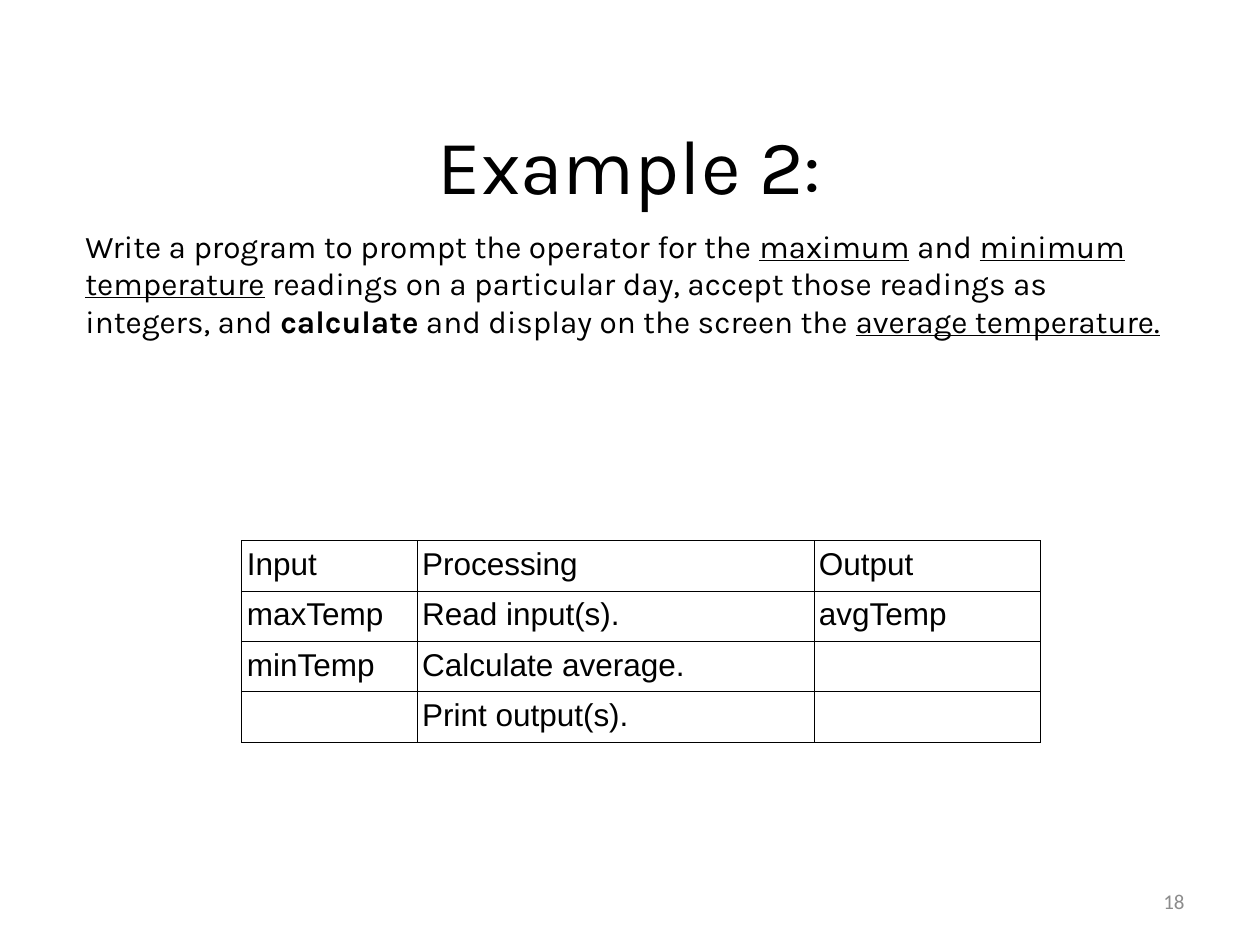
import pptx
import pptx.dml.color
import pptx.enum.text
import pptx.oxml
import pptx.oxml.ns
import pptx.util
from pptx.util import Inches

ANCHOR = pptx.enum.text.MSO_ANCHOR
ALIGN = pptx.enum.text.PP_ALIGN
BLACK = "000000"
GREY = "8C8C8C"

PROMPT = [
    ("Write a program to prompt the operator for the ", {}),
    ("maximum", {"underline": True}),
    (" and ", {}),
    ("minimum temperature", {"underline": True}),
    (" readings on a particular day, accept those readings as integers, and ", {}),
    ("calculate", {"bold": True}),
    (" and display on the screen the ", {}),
    ("average temperature.", {"underline": True}),
]

IPO_ROWS = [
    ["Input", "Processing", "Output"],
    ["maxTemp", "Read input(s).", "avgTemp"],
    ["minTemp", "Calculate average.", ""],
    ["", "Print output(s).", ""],
]
IPO_WIDTHS = [1.39, 3.15, 1.8]


def rgb(value):
    return pptx.dml.color.RGBColor.from_string(value)


def add_text(p, text, size=18, font="Karla", color=BLACK, bold=False, underline=False):
    r = p.add_run()
    r.text = text
    r.font.size = pptx.util.Pt(size)
    r.font.name = font
    r.font.color.rgb = rgb(color)
    r.font.bold = bold
    r.font.underline = underline


def add_box(slide, box, runs, align=ALIGN.LEFT, anchor=ANCHOR.TOP):
    """Add a one-paragraph text box; runs are (text, format) pairs."""
    tf = slide.shapes.add_textbox(*map(Inches, box)).text_frame
    tf.word_wrap = True
    tf.vertical_anchor = anchor
    p = tf.paragraphs[0]
    p.alignment = align
    for text, style in runs:
        add_text(p, text, **style)


def add_title(slide, box):
    add_box(slide, box, [("Example 2:", {"size": 44})], ALIGN.CENTER, ANCHOR.MIDDLE)


def add_page_number(slide, box):
    style = {"size": 12, "font": "Calibri", "color": GREY}
    add_box(slide, box, [("18", style)], ALIGN.RIGHT, ANCHOR.MIDDLE)


def set_borders(cell, color, width):
    tc_pr = cell._tc.get_or_add_tcPr()
    for i, side in enumerate(("lnL", "lnR", "lnT", "lnB")):
        tc_pr.insert(i, pptx.oxml.parse_xml(
            f'<a:{side} {pptx.oxml.ns.nsdecls("a")} w="{pptx.util.Pt(width)}">'
            f'<a:solidFill><a:srgbClr val="{color}"/></a:solidFill></a:{side}>'))


def add_ipo_table(slide, box):
    frame = slide.shapes.add_table(len(IPO_ROWS), len(IPO_WIDTHS), *map(Inches, box))
    table = frame.table
    table.first_row = table.horz_banding = False
    for column, width in zip(table.columns, IPO_WIDTHS):
        column.width = Inches(width)
    for row, texts in enumerate(IPO_ROWS):
        for col, text in enumerate(texts):
            cell = table.cell(row, col)
            cell.margin_left = cell.margin_right = Inches(0.04)
            cell.fill.background()
            set_borders(cell, BLACK, 0.57)
            if text:
                add_text(cell.text_frame.paragraphs[0], text, font="Arial")


def main():
    prs = pptx.Presentation()
    prs.slide_width, prs.slide_height = Inches(10), Inches(7.5)
    slide = prs.slides.add_slide(prs.slide_layouts[6])
    add_page_number(slide, (7.17, 6.95, 2.33, 0.4))
    add_title(slide, (0.75, 0.67, 8.5, 1.25))
    add_box(slide, (0.58, 1.75, 8.83, 1.6), PROMPT)
    add_ipo_table(slide, (1.92, 4.29, 6.34, 1.6))
    prs.save("out.pptx")


if __name__ == "__main__":
    main()
